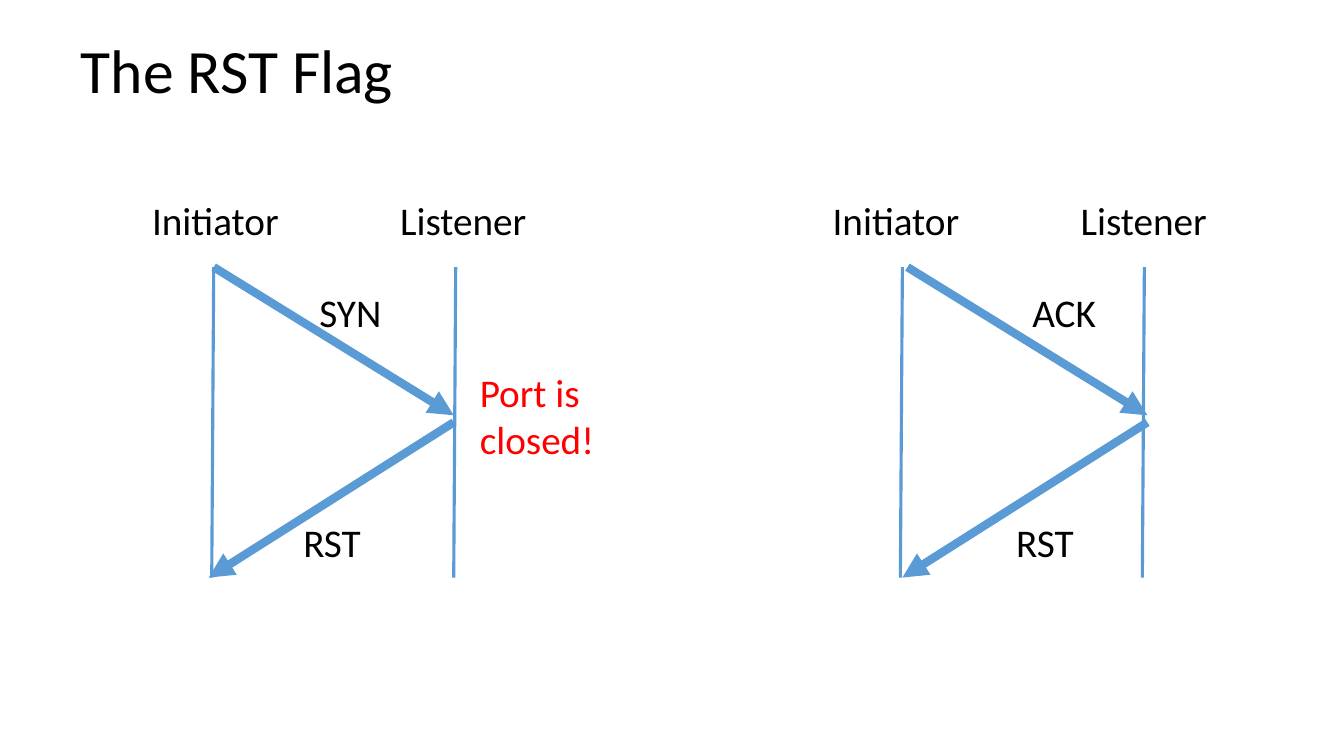
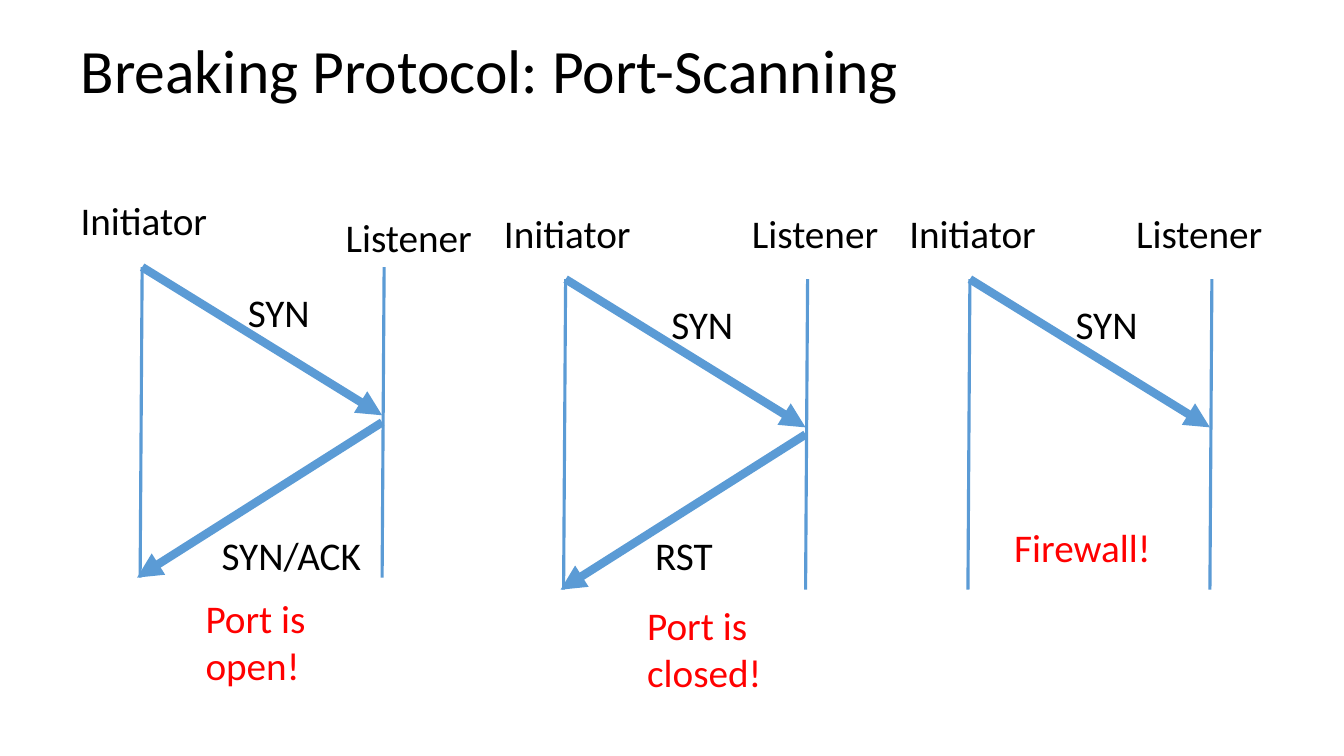
from lxml import etree
from pptx import Presentation
from pptx.dml.color import RGBColor
from pptx.enum.shapes import MSO_CONNECTOR
from pptx.enum.text import MSO_ANCHOR, MSO_AUTO_SIZE, PP_ALIGN
from pptx.oxml.ns import qn
from pptx.util import Emu, Pt

STRAIGHT = MSO_CONNECTOR.STRAIGHT
MIDDLE, LEFT, NO_FIT = MSO_ANCHOR.MIDDLE, PP_ALIGN.LEFT, MSO_AUTO_SIZE.NONE

PX = 9144  # 100 px to the inch
FONT = "Calibri"
COLORS = {"text": "000000", "alert": "FF0000", "line": "5B9BD5"}

# Geometry of one exchange, relative to the top of the initiator's line
HEIGHT, SLANT, LANE_GAP = 308, 2, 240
REQUEST = (0, 0, 238, 147)
REPLY = (238, 154, -5, HEIGHT)
ONE_LINE, TWO_LINES = 57, 104

# Each exchange: origin, shift of its arrows, whether the listener replies,
# and labels as (text, dx, dy, width); alerts are drawn in red
SLIDES = [
    ("The RST Flag", [
        {"at": (212, 265), "shift": 0, "reply": True,
         "labels": [("Initiator", -71, -75, 149), ("Listener", 175, -75, 158),
                    ("SYN", 95, 16, 97), ("RST", 79, 244, 97)],
         "alert": ("Port is closed!", 254, 95, 145, TWO_LINES)},
        {"at": (895, 265), "shift": 5, "reply": True,
         "labels": [("Initiator", -79, -75, 149), ("Listener", 167, -75, 158),
                    ("ACK", 119, 16, 97), ("RST", 103, 244, 97)]},
    ]),
    ("Breaking Protocol: Port-Scanning", [
        {"at": (141, 265), "shift": 0, "reply": True,
         "labels": [("Initiator", -71, -75, 149), ("Listener", 192, -58, 158),
                    ("SYN", 95, 16, 97), ("SYN/ACK", 69, 257, 166)],
         "alert": ("Port is open!", 53, 320, 145, TWO_LINES)},
        {"at": (561, 277), "shift": 0, "reply": True,
         "labels": [("Initiator", -71, -74, 149), ("Listener", 175, -74, 158),
                    ("SYN", 95, 16, 97), ("RST", 79, 245, 97)],
         "alert": ("Port is closed!", 71, 315, 145, TWO_LINES)},
        {"at": (962, 277), "shift": 0, "reply": False,
         "labels": [("Initiator", -70, -74, 149), ("Listener", 155, -74, 158),
                    ("SYN", 95, 16, 97)],
         "alert": ("Firewall!", 34, 237, 158, ONE_LINE)},
    ]),
]


def px(*values):
    return [Emu(v * PX) for v in values]


def style(p, size, color):
    for r in p.runs:
        r.font.name, r.font.size = FONT, Pt(size)
        r.font.color.rgb = RGBColor.from_string(COLORS[color])


def set_title(s, text):
    sp = s.shapes.title
    sp.left, sp.top, sp.width, sp.height = px(70, 0, 1150, 145)
    tf = sp.text_frame
    tf.text = text
    tf.vertical_anchor, tf.auto_size = MIDDLE, NO_FIT
    p = tf.paragraphs[0]
    p.alignment, p.line_spacing = LEFT, 0.9
    style(p, 44, "text")


def add_label(s, text, x, y, w, h=ONE_LINE, color="text"):
    tf = s.shapes.add_textbox(*px(x, y, w, h)).text_frame
    tf.word_wrap = True
    tf.text = text
    style(tf.paragraphs[0], 28, color)


def add_line(s, x1, y1, x2, y2, width=2.25, arrow=False):
    line = s.shapes.add_connector(STRAIGHT, *px(x1, y1, x2, y2))
    line.line.width = Pt(width)
    line.line.color.rgb = RGBColor.from_string(COLORS["line"])
    if arrow:
        etree.SubElement(line.line._get_or_add_ln(), qn("a:tailEnd"), type="triangle")
    etree.SubElement(line._element.spPr, qn("a:effectLst"))


def add_exchange(s, exchange):
    x, y = exchange["at"]
    # Time lines of the two hosts
    for lane in (x, x + LANE_GAP):
        add_line(s, lane, y, lane - SLANT, y + HEIGHT)
    # Messages
    left = x + exchange["shift"]
    for x1, y1, x2, y2 in [REQUEST, REPLY] if exchange["reply"] else [REQUEST]:
        add_line(s, left + x1, y + y1, left + x2, y + y2, 6, arrow=True)
    # Labels
    for text, dx, dy, w in exchange["labels"]:
        add_label(s, text, x + dx, y + dy, w)
    if "alert" in exchange:
        text, dx, dy, w, h = exchange["alert"]
        add_label(s, text, x + dx, y + dy, w, h, "alert")


def main():
    prs = Presentation()
    prs.slide_width, prs.slide_height = px(1333, 750)
    title_only = prs.slide_layouts[5]
    for title, exchanges in SLIDES:
        s = prs.slides.add_slide(title_only)
        set_title(s, title)
        for exchange in exchanges:
            add_exchange(s, exchange)
    prs.save("out.pptx")


if __name__ == "__main__":
    main()
